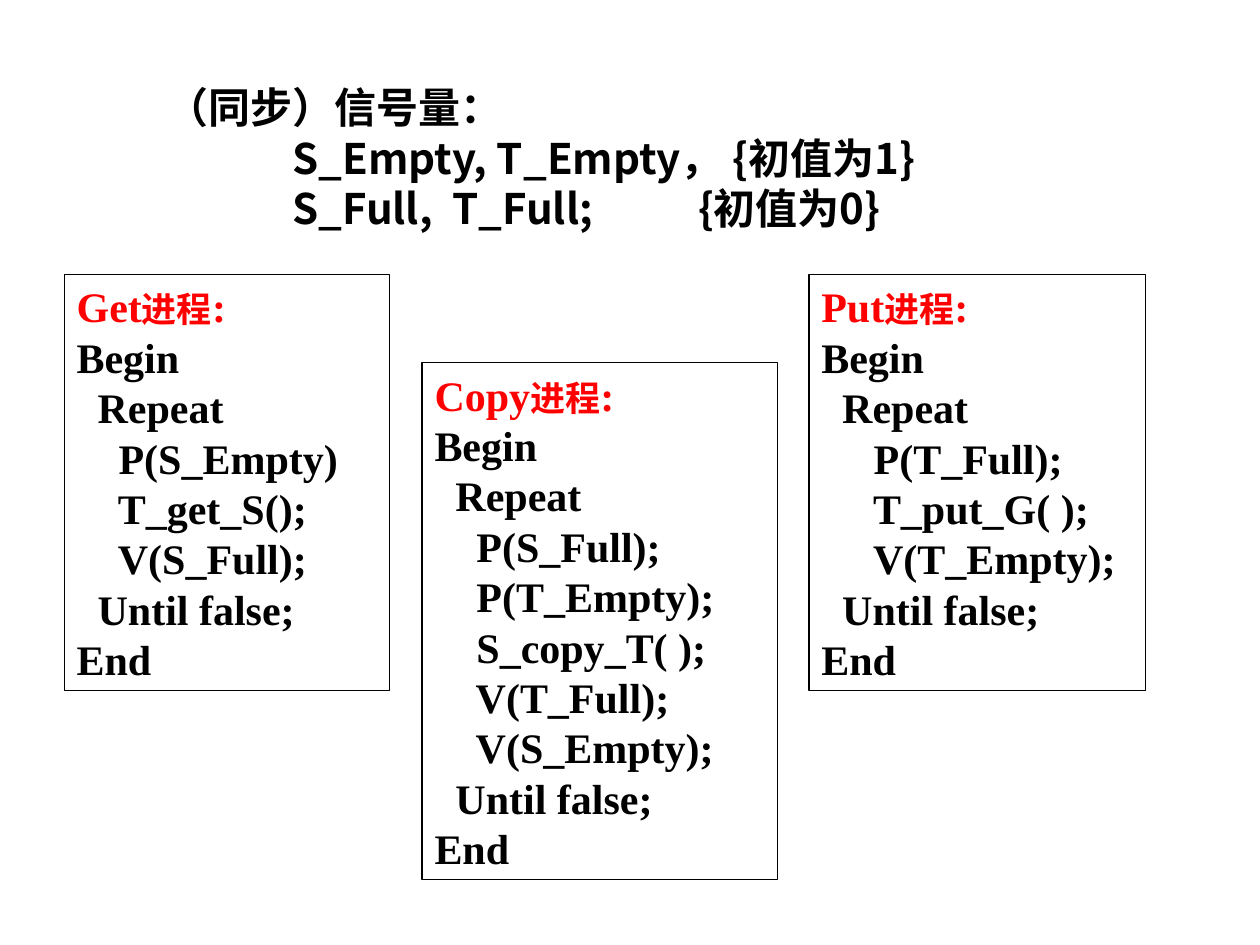
from dataclasses import dataclass

from lxml import etree
from pptx import Presentation
from pptx.dml.color import RGBColor
from pptx.enum.shapes import MSO_SHAPE
from pptx.enum.text import MSO_ANCHOR, MSO_AUTO_SIZE, PP_ALIGN
from pptx.oxml.ns import qn
from pptx.util import Inches, Pt

RECTANGLE = MSO_SHAPE.RECTANGLE
TOP = MSO_ANCHOR.TOP
LEFT = PP_ALIGN.LEFT
NO_AUTOFIT = MSO_AUTO_SIZE.NONE
TITLE_ONLY = 5


@dataclass(frozen=True)
class Theme:
    ink: RGBColor = RGBColor(0, 0, 0)
    accent: RGBColor = RGBColor(255, 0, 0)
    latin_font: str = "Times New Roman"
    chinese_font: str = "Noto Sans CJK SC"
    text_size: float = 24
    label_size: float = 20
    line_height: float = 0.4
    outline_width: float = 0.75


class SlideBuilder:
    def __init__(self, page, theme):
        self.page = page
        self.theme = theme

    def prepare_frame(self, box):
        frame = box.text_frame
        frame.word_wrap = True
        frame.auto_size = NO_AUTOFIT
        frame.vertical_anchor = TOP
        frame.margin_left = frame.margin_right = Inches(0.1)
        frame.margin_top = frame.margin_bottom = Inches(0.05)
        return frame

    def add_line(self, frame, index, spans, tabs=()):
        para = frame.add_paragraph() if index else frame.paragraphs[0]
        para.alignment = LEFT
        para.line_spacing = Inches(self.theme.line_height)
        if tabs:
            properties = para._p.get_or_add_pPr()
            tab_list = etree.SubElement(properties, qn("a:tabLst"))
            for position in tabs:
                etree.SubElement(tab_list, qn("a:tab"), pos=str(Inches(position)), algn="l")
        for text, font_name, size, color in spans:
            span = para.add_run()
            span.text = text
            span.font.name = font_name
            span.font.size = Pt(size)
            span.font.bold = True
            span.font.color.rgb = color
            etree.SubElement(span._r.get_or_add_rPr(), qn("a:ea"),
                             typeface=self.theme.chinese_font)

    def add_title(self, left, top, width, lines, tabs):
        theme = self.theme
        title = self.page.shapes.title
        title.left, title.top, title.width = Inches(left), Inches(top), Inches(width)
        title.height = Inches(len(lines) * theme.line_height + 0.1)
        frame = self.prepare_frame(title)
        for index, text in enumerate(lines):
            spans = [(text, theme.chinese_font, theme.text_size, theme.ink)]
            self.add_line(frame, index, spans, tabs)

    def add_process(self, left, top, width, name, code):
        theme = self.theme
        height = (len(code) + 1) * theme.line_height + 0.1
        box = self.page.shapes.add_shape(
            RECTANGLE, Inches(left), Inches(top), Inches(width), Inches(height))
        box.shadow.inherit = False
        box.fill.background()
        box.line.color.rgb = theme.ink
        box.line.width = Pt(theme.outline_width)
        frame = self.prepare_frame(box)
        heading = [
            (name, theme.latin_font, theme.text_size, theme.accent),
            ("进程", theme.chinese_font, theme.label_size, theme.accent),
            (":", theme.latin_font, theme.text_size, theme.accent),
        ]
        self.add_line(frame, 0, heading)
        for index, text in enumerate(code, start=1):
            spans = [(text, theme.latin_font, theme.text_size, theme.ink)]
            self.add_line(frame, index, spans)


def process_code(steps, indent):
    body = [" " * indent + step for step in steps]
    return ["Begin", "  Repeat", *body, "  Until false;", "End"]


def main():
    deck = Presentation()
    deck.slide_width, deck.slide_height = Inches(10), Inches(7.5)
    page = deck.slides.add_slide(deck.slide_layouts[TITLE_ONLY])
    builder = SlideBuilder(page, Theme())
    semaphores = [
        "（同步）信号量：",
        "\tS_Empty, T_Empty， {初值为1}",
        "\tS_Full,\tT_Full;\t{初值为0}",
    ]
    builder.add_title(1.22, 0.6, 7.83, semaphores, tabs=(1, 2.27, 4.22))
    processes = [
        (0.51, 2.18, 2.58, "Get", 4, ["P(S_Empty)", "T_get_S();", "V(S_Full);"]),
        (3.35, 2.88, 2.82, "Copy", 4,
         ["P(S_Full);", "P(T_Empty);", "S_copy_T( );", "V(T_Full);", "V(S_Empty);"]),
        (6.42, 2.18, 2.67, "Put", 5, ["P(T_Full);", "T_put_G( );", "V(T_Empty);"]),
    ]
    for left, top, width, name, indent, steps in processes:
        builder.add_process(left, top, width, name, process_code(steps, indent))
    deck.save("out.pptx")


if __name__ == "__main__":
    main()
